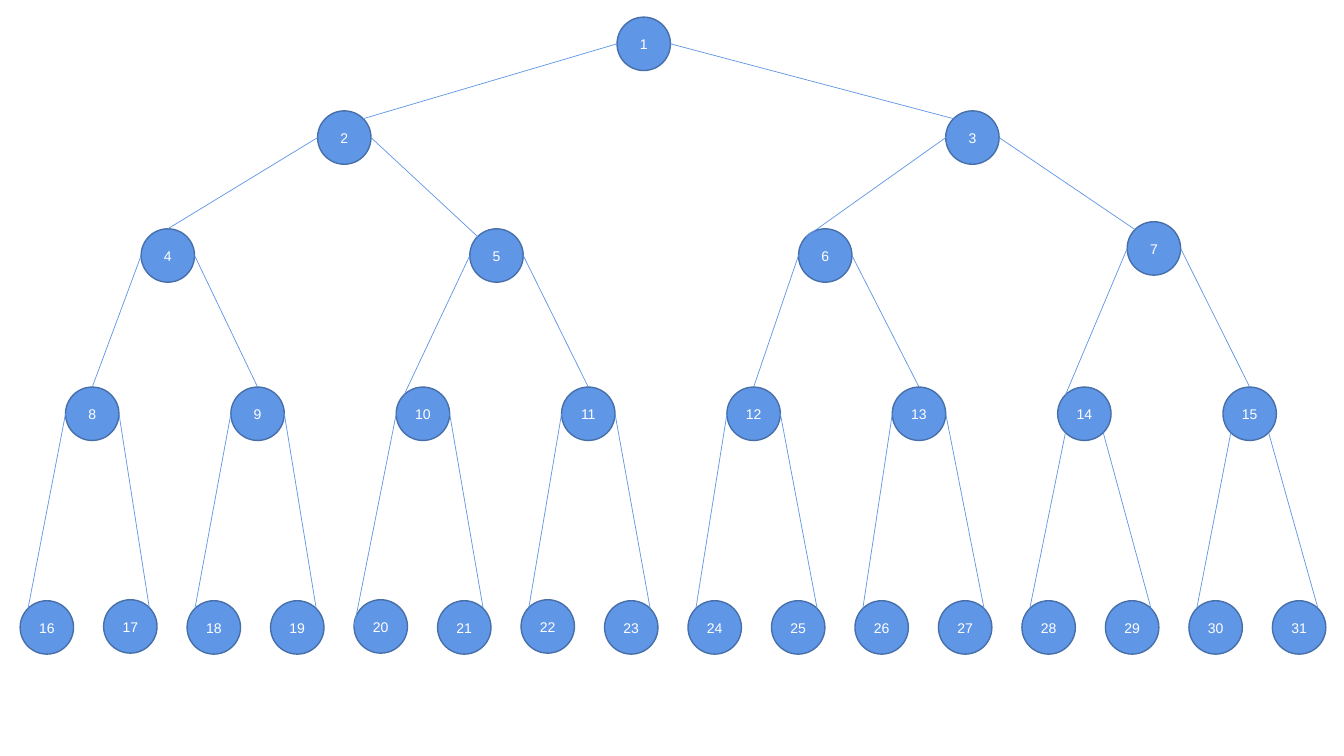
from math import cos, radians, sin

from lxml import etree
from pptx import Presentation
from pptx.dml.color import RGBColor
from pptx.enum.shapes import MSO_CONNECTOR as Connector, MSO_SHAPE as Shape
from pptx.enum.text import MSO_ANCHOR as Anchor, PP_ALIGN as Align
from pptx.oxml.ns import qn
from pptx.util import Inches, Pt

BLUE = RGBColor(0x60, 0x96, 0xE6)
DARK_BLUE = RGBColor(0x47, 0x6F, 0xAA)
WHITE = RGBColor(0xFF, 0xFF, 0xFF)

DIAMETER = 0.53
# Each level of the tree: left of the first node, left of the last node, top
LEVELS = [(6.12, 6.12, 0.17), (3.15, 9.38, 1.1), (1.4, 11.18, 2.27),
          (0.65, 12.13, 3.84), (0.2, 12.62, 5.96)]
# Nodes that sit slightly above their level
RAISED_TOPS = {7: 2.2, 17: 5.95, 20: 5.95, 22: 5.95}

# Points on a circle, in degrees clockwise from the right
RIGHT, BOTTOM_RIGHT, BOTTOM_LEFT, LEFT = 0, 45, 135, 180
TOP_LEFT, TOP, TOP_RIGHT = 225, 270, 315
# Edges that do not arrive at the usual point
ARRIVALS = {2: TOP_RIGHT, 3: TOP_LEFT, 5: TOP_LEFT, 6: TOP_LEFT,
            7: TOP_LEFT, 10: TOP_LEFT, 14: TOP_LEFT, 20: LEFT}


def rim_point(node, angle):
    left, top = positions[node]
    radius = DIAMETER / 2
    return (Inches(left + radius + radius * cos(radians(angle))),
            Inches(top + radius + radius * sin(radians(angle))))


deck = Presentation()
deck.slide_width, deck.slide_height = Inches(13.33), Inches(7.5)
page = deck.slides.add_slide(deck.slide_layouts[6])

# Node positions, numbered level by level and evenly spread
positions = {}
for level, (first_left, last_left, level_top) in enumerate(LEVELS):
    count = 2 ** level
    step = (last_left - first_left) / max(count - 1, 1)
    for i in range(count):
        node = count + i
        positions[node] = (first_left + i * step,
                           RAISED_TOPS.get(node, level_top))

# Nodes
for node, (left, top) in positions.items():
    circle = page.shapes.add_shape(Shape.OVAL, Inches(left), Inches(top),
                                   Inches(DIAMETER), Inches(DIAMETER))
    circle.shadow.inherit = False
    circle.fill.solid()
    circle.fill.fore_color.rgb = BLUE
    circle.line.color.rgb = DARK_BLUE
    circle.line.width = Pt(1)
    frame = circle.text_frame
    frame.margin_left = frame.margin_right = 0
    frame.margin_top = frame.margin_bottom = 0
    frame.vertical_anchor = Anchor.MIDDLE
    para = frame.paragraphs[0]
    para.alignment = Align.CENTER
    span = para.add_run()
    span.text = str(node)
    span.font.name = "Arial"
    span.font.size = Pt(10)
    span.font.color.rgb = WHITE

# Edges from each parent to its children
for child in range(2, 32):
    parent = child // 2
    is_left = child % 2 == 0
    if parent in (14, 15):
        departure = BOTTOM_LEFT if is_left else BOTTOM_RIGHT
    else:
        departure = LEFT if is_left else RIGHT
    if child >= 16:
        usual_arrival = TOP_LEFT if is_left else TOP_RIGHT
    else:
        usual_arrival = TOP
    arrival = ARRIVALS.get(child, usual_arrival)
    edge = page.shapes.add_connector(Connector.STRAIGHT,
                                     *rim_point(parent, departure),
                                     *rim_point(child, arrival))
    edge.line.color.rgb = BLUE
    edge.line.width = Pt(0.5)
    etree.SubElement(edge._element.spPr, qn("a:effectLst"))

deck.save("out.pptx")
